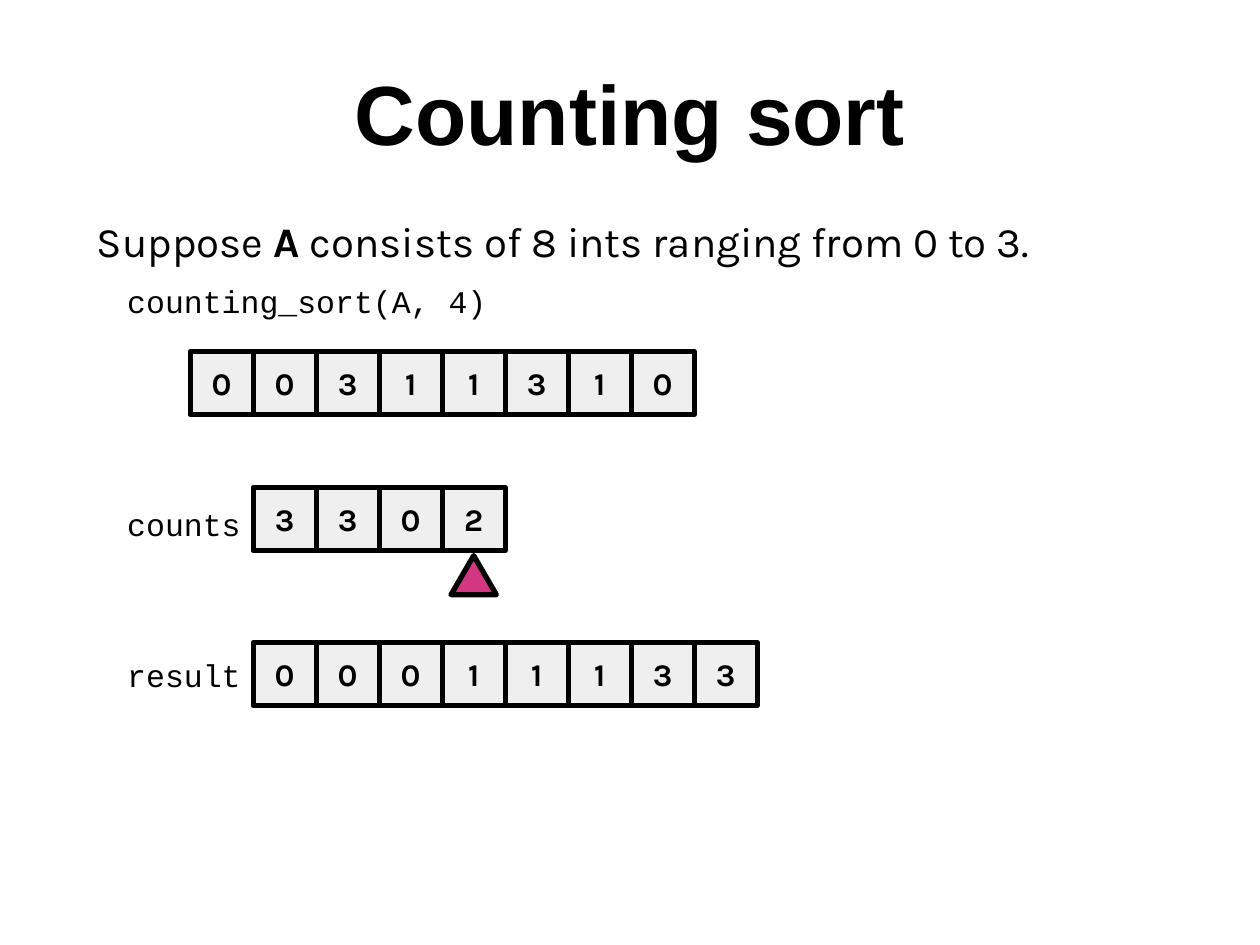
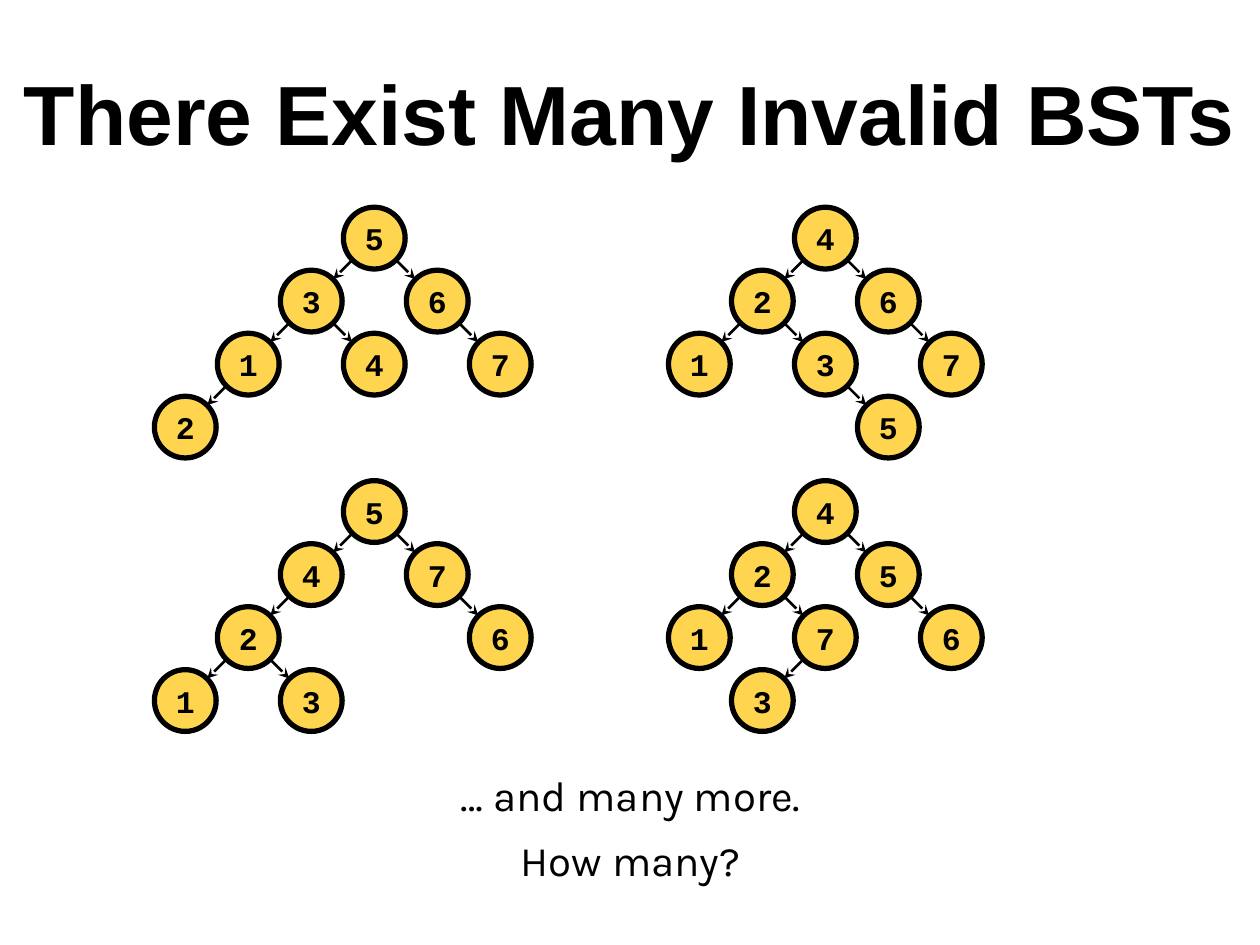
from dataclasses import dataclass

from lxml.etree import SubElement
from pptx import Presentation
from pptx.dml.color import RGBColor
from pptx.enum.shapes import MSO_CONNECTOR, MSO_SHAPE
from pptx.enum.text import MSO_ANCHOR, MSO_AUTO_SIZE, PP_ALIGN
from pptx.oxml.ns import qn
from pptx.util import Inches, Pt


@dataclass(frozen=True)
class Theme:
    ink: RGBColor = RGBColor(0x00, 0x00, 0x00)
    cell: RGBColor = RGBColor(0xEF, 0xEF, 0xEF)
    node: RGBColor = RGBColor(0xFF, 0xD5, 0x4F)
    marker: RGBColor = RGBColor(0xD3, 0x36, 0x82)
    title_font: str = "Arial"
    body_font: str = "Karla"
    code_font: str = "Courier New"
    title_size: int = 48
    body_size: int = 24
    small_size: int = 18
    outline: float = 3
    edge: float = 1.5


THEME = Theme()
CELL = 0.5
NODE = 0.49
STEP = 0.5      # distance between tree levels, across and down
REACH = 0.175   # from a node's centre to its rim along the diagonal


def style(font, name, size, bold=False):
    font.name, font.size, font.bold = name, Pt(size), bold
    font.color.rgb = THEME.ink


def add_title_slide(deck, title):
    slide = deck.slides.add_slide(deck.slide_layouts[5])
    heading = slide.shapes.title
    heading.left, heading.top = Inches(0), Inches(0.33)
    heading.width, heading.height = Inches(10), Inches(1.25)
    frame = heading.text_frame
    frame.text = title
    frame.auto_size = MSO_AUTO_SIZE.NONE
    frame.vertical_anchor = MSO_ANCHOR.TOP
    frame.margin_top = Inches(0.16)
    frame.paragraphs[0].alignment = PP_ALIGN.CENTER
    style(frame.paragraphs[0].runs[0].font, THEME.title_font, THEME.title_size, True)
    return slide


def add_text(slide, left, top, width, height, lines):
    """Add a box without insets and return its paragraphs, one for each line."""
    frame = slide.shapes.add_textbox(
        Inches(left), Inches(top), Inches(width), Inches(height)).text_frame
    frame.word_wrap = True
    frame.margin_left = frame.margin_top = frame.margin_right = frame.margin_bottom = 0
    frame.text = "\n".join(lines)
    return frame.paragraphs


def add_outlined(slide, kind, left, top, width, height, fill):
    shape = slide.shapes.add_shape(
        kind, Inches(left), Inches(top), Inches(width), Inches(height))
    shape.shadow.inherit = False
    shape.fill.solid()
    shape.fill.fore_color.rgb = fill
    shape.line.color.rgb = THEME.ink
    shape.line.width = Pt(THEME.outline)
    return shape


def add_number(slide, kind, left, top, size, fill, number, font_name):
    shape = add_outlined(slide, kind, left, top, size, size, fill)
    frame = shape.text_frame
    frame.text = str(number)
    frame.vertical_anchor = MSO_ANCHOR.MIDDLE
    frame.paragraphs[0].alignment = PP_ALIGN.CENTER
    style(frame.paragraphs[0].runs[0].font, font_name, THEME.small_size, True)


def add_array(slide, left, top, numbers):
    for index, number in enumerate(numbers):
        add_number(slide, MSO_SHAPE.RECTANGLE, left + index * CELL, top, CELL,
                   THEME.cell, number, THEME.body_font)


def add_edge(slide, x, y, side):
    """Draw the arrow from the node centred at x, y to its child on that side."""
    far = STEP - REACH
    edge = slide.shapes.add_connector(
        MSO_CONNECTOR.STRAIGHT,
        Inches(x + side * REACH), Inches(y + REACH),
        Inches(x + side * far), Inches(y + far))
    edge.line.color.rgb = THEME.ink
    edge.line.width = Pt(THEME.edge)
    SubElement(edge.line._get_or_add_ln(), qn("a:tailEnd"), type="stealth")
    SubElement(edge._element.spPr, qn("a:effectLst"))


def add_tree(slide, x, y, tree):
    """Draw a (number, left, right) tree with its root centred at x, y."""
    number, *children = tree
    add_number(slide, MSO_SHAPE.OVAL, x - NODE / 2, y - NODE / 2, NODE,
               THEME.node, number, THEME.code_font)
    for side, child in zip((-1, 1), children):
        if child:
            add_edge(slide, x, y, side)
            add_tree(slide, x + side * STEP, y + STEP, child)


def build_counting_sort(deck):
    slide = add_title_slide(deck, "Counting sort")
    premise, call = add_text(slide, 0.77, 1.71, 8.47, 0.8, ["", "counting_sort(A, 4)"])
    for part in ("Suppose ", "A", " consists of 8 ints ranging from 0 to 3."):
        run = premise.add_run()
        run.text = part
        style(run.font, THEME.body_font, THEME.body_size, part == "A")
    call._p.get_or_add_pPr().set("marL", str(Inches(0.24)))
    call.space_before = Pt(9)
    style(call.runs[0].font, THEME.code_font, THEME.small_size)

    add_array(slide, 1.51, 2.79, [0, 0, 3, 1, 1, 3, 1, 0])
    rows = (("counts", 3.87, 4.01, [3, 3, 0, 2]),
            ("result", 5.1, 5.21, [0, 0, 0, 1, 1, 1, 3, 3]))
    for label, top, label_top, numbers in rows:
        add_array(slide, 2.01, top, numbers)
        (name,) = add_text(slide, 1.01, label_top, 0.95, 0.3, [label])
        style(name.runs[0].font, THEME.code_font, THEME.small_size)
    add_outlined(slide, MSO_SHAPE.ISOSCELES_TRIANGLE, 3.58, 4.41, 0.36, 0.31, THEME.marker)


def build_invalid_trees(deck):
    slide = add_title_slide(deck, "There Exist Many Invalid BSTs")
    tree_rows = (
        ((5, (3, (1, (2,), None), (4,)), (6, None, (7,))),
         (4, (2, (1,), (3, None, (5,))), (6, None, (7,)))),
        ((5, (4, (2, (1,), (3,)), None), (7, None, (6,))),
         (4, (2, (1,), (7, (3,), None)), (5, None, (6,)))),
    )
    for row, trees in enumerate(tree_rows):
        for column, tree in enumerate(trees):
            add_tree(slide, 2.97 + 3.58 * column, 1.89 + 2.17 * row, tree)

    closing = add_text(slide, 0.77, 6.11, 8.47, 0.95, ["… and many more.", "How many?"])
    closing[1].space_before = Pt(8)
    for line in closing:
        line.alignment = PP_ALIGN.CENTER
        style(line.runs[0].font, THEME.body_font, THEME.body_size)


def main():
    deck = Presentation()
    deck.slide_width, deck.slide_height = Inches(10), Inches(7.5)
    build_counting_sort(deck)
    build_invalid_trees(deck)
    deck.save("out.pptx")


if __name__ == "__main__":
    main()
